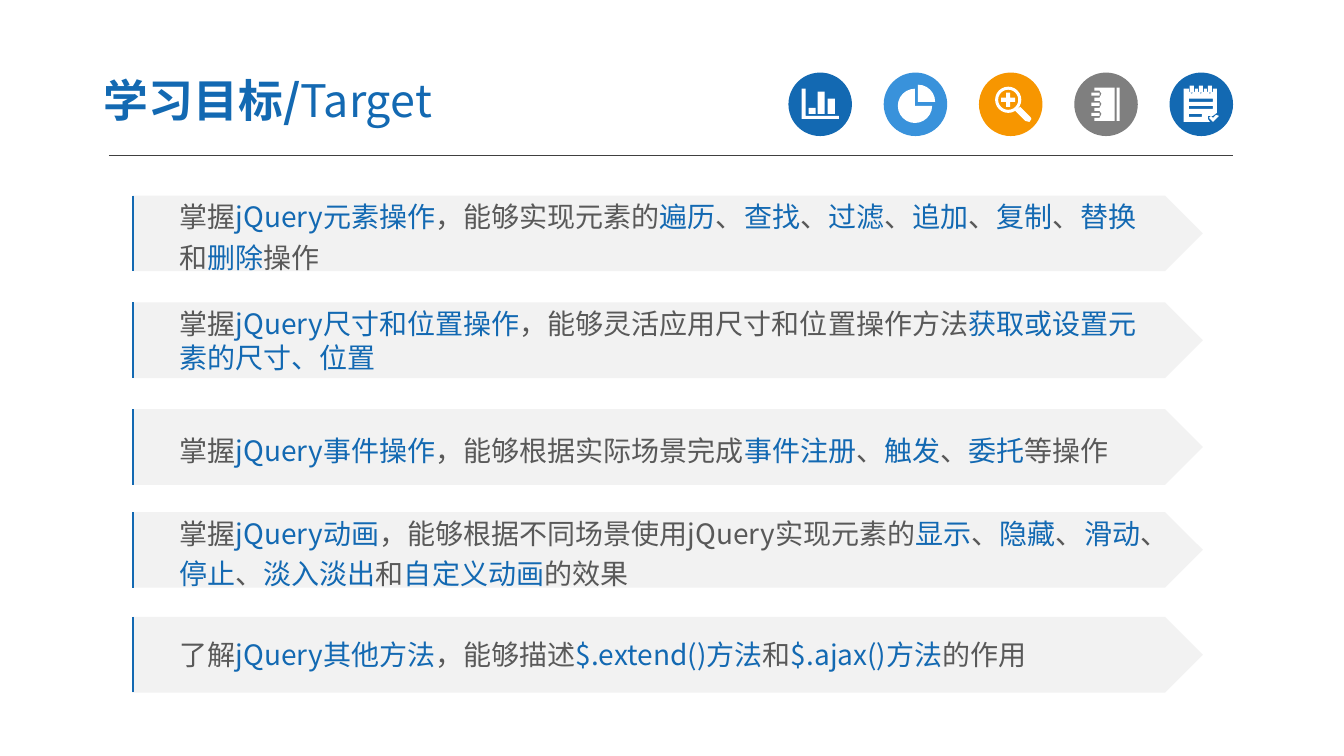
from math import cos, radians, sin

from lxml.etree import SubElement
from pptx import Presentation
from pptx.dml.color import RGBColor
from pptx.enum.shapes import MSO_CONNECTOR, MSO_SHAPE as Preset
from pptx.enum.text import MSO_ANCHOR, MSO_AUTO_SIZE, PP_ALIGN
from pptx.oxml.ns import qn
from pptx.util import Inches, Pt

FONT = "Noto Sans CJK SC"
BLUE, SKY, ORANGE, GREY = "1369B2", "3992DB", "F79600", "7F7F7F"
WHITE, BAND, INK, RULE = "FFFFFF", "F2F2F2", "595959", "404040"

# Top, line spacing and lines of each goal; every second part is highlighted
GOALS = [
    (1.94, 1.2, ["掌握|jQuery元素操作|，能够实现元素的|遍历|、|查找|、|过滤|、|追加|、|复制|、|替换",
                 "和|删除|操作"]),
    (3, 1, ["掌握|jQuery尺寸和位置操作|，能够灵活应用尺寸和位置操作方法|获取或设置元",
            "|素的尺寸、位置"]),
    (4.06, 1.2, ["掌握|jQuery事件操作|，能够根据实际场景完成|事件注册|、|触发|、|委托|等操作"]),
    (5.08, 1.2, ["掌握|jQuery动画|，能够根据不同场景使用jQuery实现元素的|显示|、|隐藏|、|滑动|、",
                 "|停止|、|淡入淡出|和|自定义动画|的效果"]),
    (6.12, 1, ["了解|jQuery其他方法|，能够描述|$.extend()方法|和|$.ajax()方法|的作用"]),
]
GOAL_LEFT, GOAL_WIDTH, GOAL_HEIGHT = 1.31, 10.62, 0.75
BADGE_LEFT, BADGE_TOP, BADGE_SIZE, BADGE_PITCH = 7.82, 0.72, 0.63, 3.78 / 4


def rgb(color):
    return RGBColor.from_string(color)


def paint(shape, color):
    shape.shadow.inherit = False
    shape.fill.solid()
    shape.fill.fore_color.rgb = rgb(color)
    shape.line.fill.background()


def add_block(slide, preset, left, top, width, height, color):
    block = slide.shapes.add_shape(
        preset, Inches(left), Inches(top), Inches(width), Inches(height))
    paint(block, color)
    return block


def add_line(slide, start, end, color, weight):
    line = slide.shapes.add_connector(
        MSO_CONNECTOR.STRAIGHT, *(Inches(value) for value in (*start, *end)))
    line.line.color.rgb = rgb(color)
    line.line.width = Pt(weight)
    SubElement(line._element.spPr, qn("a:effectLst"))


def set_font(paragraph, size):
    paragraph.alignment = PP_ALIGN.LEFT
    paragraph.font.size = Pt(size)
    paragraph.font.name = FONT
    defaults = paragraph._p.pPr.find(qn("a:defRPr"))
    SubElement(defaults, qn("a:ea")).set("typeface", FONT)


def add_run(paragraph, text, color):
    run = paragraph.add_run()
    run.text = text
    run.font.color.rgb = rgb(color)
    return run


def add_title(slide):
    title = slide.shapes.title
    title.left, title.top = Inches(0.9), Inches(0.63)
    title.width, title.height = Inches(5.22), Inches(0.72)
    frame = title.text_frame
    frame.auto_size = MSO_AUTO_SIZE.NONE
    frame.vertical_anchor = MSO_ANCHOR.MIDDLE
    frame.margin_left = frame.margin_right = Inches(0.13)
    frame.margin_top = frame.margin_bottom = Inches(0.07)
    heading = frame.paragraphs[0]
    set_font(heading, 32)
    add_run(heading, "学习目标/", BLUE).font.bold = True
    add_run(heading, "Target", BLUE).font.bold = False


def add_goal(slide, top, spacing, lines):
    arrow = add_block(slide, Preset.PENTAGON, GOAL_LEFT, top, GOAL_WIDTH, GOAL_HEIGHT, BAND)
    frame = arrow.text_frame
    frame.word_wrap = True
    frame.vertical_anchor = MSO_ANCHOR.MIDDLE
    frame.margin_left, frame.margin_right = Inches(0.47), Inches(0)
    for index, line in enumerate(lines):
        paragraph = frame.add_paragraph() if index else frame.paragraphs[0]
        set_font(paragraph, 20)
        paragraph.line_spacing = float(spacing)
        for part, text in enumerate(line.split("|")):
            if text:
                add_run(paragraph, text, BLUE if part % 2 else INK)
    edge = GOAL_LEFT + 0.01
    add_line(slide, (edge, top), (edge, top + GOAL_HEIGHT), BLUE, 1.5)


# Badge glyphs: lists of contours, in inches from the badge corner
def box(x, y, width, height):
    return [(x, y), (x + width, y), (x + width, y + height), (x, y + height)]


def arc(x, y, radius, start=0, end=360, step=15):
    return [(x + radius * cos(radians(angle)), y + radius * sin(radians(angle)))
            for angle in range(start, end + 1, step)]


def bar_glyph():
    axes = [(0.13, 0.16), (0.17, 0.16), (0.17, 0.43), (0.5, 0.43), (0.5, 0.46), (0.13, 0.46)]
    bars = ((0.2, 0.06), (0.29, 0.22), (0.39, 0.15))
    return [axes] + [box(x, 0.41 - height, 0.07, height) for x, height in bars]


def pie_glyph():
    return [[(0.31, 0.33)] + arc(0.31, 0.33, 0.17, 0, 270),
            [(0.34, 0.29)] + arc(0.34, 0.29, 0.17, 270, 360)]


def magnifier_glyph():
    x, y, arm, half = 0.29, 0.27, 0.07, 0.02
    plus = [(x - arm, y - half), (x - half, y - half), (x - half, y - arm),
            (x + half, y - arm), (x + half, y - half), (x + arm, y - half),
            (x + arm, y + half), (x + half, y + half), (x + half, y + arm),
            (x - half, y + arm), (x - half, y + half), (x - arm, y + half)]
    handle = [(0.41, 0.34), (0.51, 0.44), (0.52, 0.46), (0.5, 0.49), (0.46, 0.48), (0.36, 0.38)]
    return [arc(x, y, 0.13), arc(x, y, 0.1), plus, handle]


def notebook_glyph():
    page, pins = [(0.4, 0.48), (0.4, 0.15), (0.2, 0.15)], []
    for ring in range(3):
        y = 0.18 + ring * 0.1
        page += [(0.2, y), (0.25, y), (0.27, y + 0.03), (0.25, y + 0.07), (0.2, y + 0.07)]
        pins.append(box(0.17, y + 0.02, 0.08, 0.03))
    return [page + [(0.2, 0.48)], box(0.42, 0.15, 0.03, 0.33)] + pins


def checklist_glyph():
    page, rings = [(0.14, 0.16)], []
    for ring in range(3):
        x = 0.19 + ring * 0.09
        page += [(x, 0.16), (x, 0.19), (x + 0.03, 0.21), (x + 0.06, 0.19), (x + 0.06, 0.16)]
        rings.append(box(x + 0.01, 0.13, 0.04, 0.07))
    page += [(0.47, 0.16), (0.47, 0.4), (0.43, 0.43), (0.38, 0.43), (0.38, 0.46),
             (0.4, 0.49), (0.14, 0.49)]
    text_rows = [box(0.19, y, width, 0.03) for y, width in ((0.26, 0.24), (0.33, 0.24), (0.41, 0.13))]
    tick = [(0.39, 0.45), (0.41, 0.43), (0.43, 0.45), (0.46, 0.42), (0.49, 0.43), (0.43, 0.49)]
    return [page, tick] + text_rows + rings


def add_badge(slide, index, color, contours):
    left = BADGE_LEFT + index * BADGE_PITCH
    add_block(slide, Preset.OVAL, left, BADGE_TOP, BADGE_SIZE, BADGE_SIZE, color)
    outline = None
    for contour in contours:
        points = [(Inches(left + x), Inches(BADGE_TOP + y)) for x, y in contour]
        if outline is None:
            outline = slide.shapes.build_freeform(*points[0])
        else:
            outline.move_to(*points[0])
        outline.add_line_segments(points[1:], close=True)
    paint(outline.convert_to_shape(), WHITE)


def main():
    deck = Presentation()
    deck.slide_width, deck.slide_height = Inches(13.33), Inches(7.5)
    slide = deck.slides.add_slide(deck.slide_layouts[5])

    # Header
    add_line(slide, (1.08, 1.54), (12.23, 1.54), RULE, 0.75)
    badges = [(BLUE, bar_glyph), (SKY, pie_glyph), (ORANGE, magnifier_glyph),
              (GREY, notebook_glyph), (BLUE, checklist_glyph)]
    for index, (color, glyph) in enumerate(badges):
        add_badge(slide, index, color, glyph())
    add_title(slide)

    # Learning goals
    for top, spacing, lines in GOALS:
        add_goal(slide, top, spacing, lines)

    deck.save("out.pptx")


if __name__ == "__main__":
    main()
